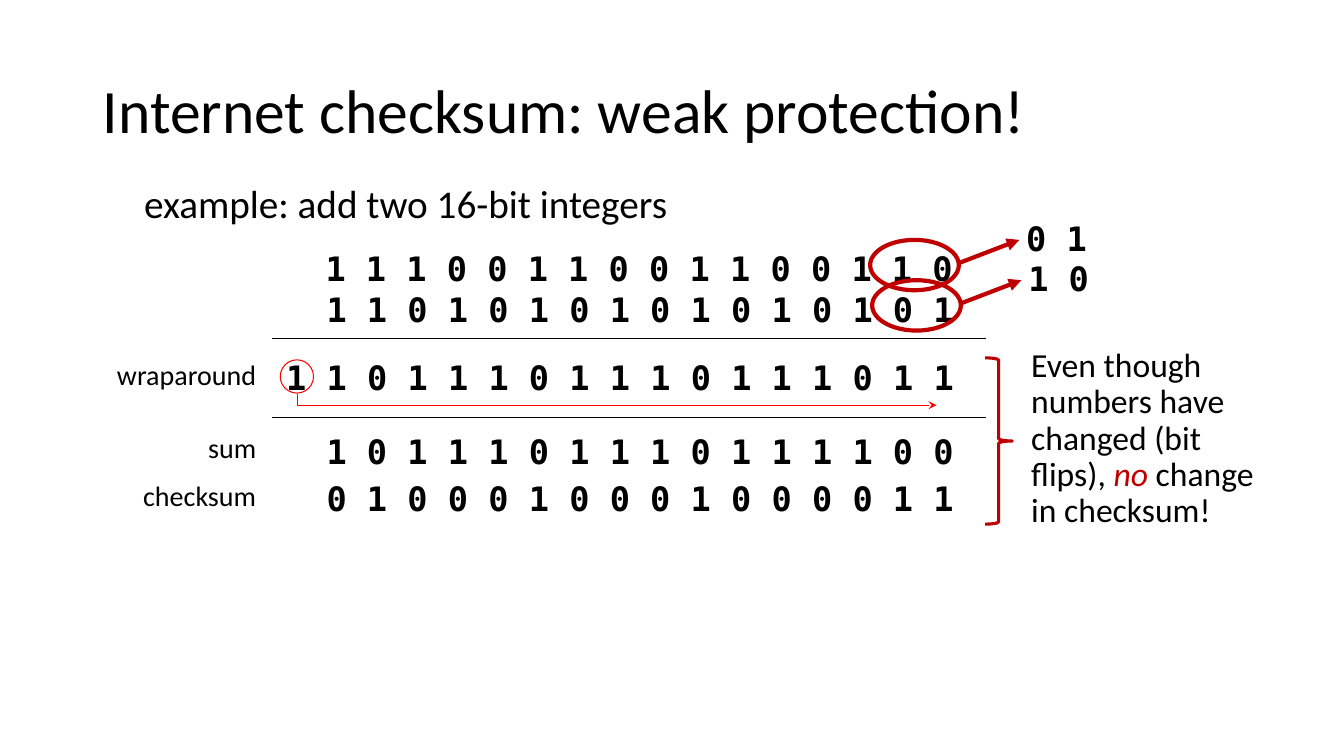
"""Build the slide on the weak protection given by the Internet checksum."""
from lxml import etree
from pptx import Presentation
from pptx import util as u
from pptx.dml.color import RGBColor
from pptx.enum import shapes, text
from pptx.oxml import ns

PX = 9144
COLORS = {"ink": "000000", "red": "C00000", "bright": "FF0000"}
SANS, MONO = "Calibri", "DejaVu Sans Mono"
FIT = text.MSO_AUTO_SIZE.SHAPE_TO_FIT_TEXT
LEFT, RIGHT = text.PP_ALIGN.LEFT, text.PP_ALIGN.RIGHT


class ChecksumPage:
    def __init__(self, deck):
        self.page = deck.slides.add_slide(deck.slide_layouts[1])

    def color(self, name):
        return RGBColor.from_string(COLORS[name])

    def place(self, box, left, top, width, height):
        box.left, box.top = left * PX, top * PX
        box.width, box.height = width * PX, height * PX

    def style(self, span, size, font=SANS, color="ink", bold=False, italic=False):
        span.font.name, span.font.size = font, u.Pt(size)
        span.font.bold, span.font.italic = bold, italic
        span.font.color.rgb = self.color(color)

    def heading(self, words, area, size):
        box = self.page.shapes.title
        self.place(box, *area)
        frame = box.text_frame
        frame.text = words
        frame.auto_size = text.MSO_AUTO_SIZE.NONE
        frame.vertical_anchor = text.MSO_ANCHOR.MIDDLE
        para = frame.paragraphs[0]
        para.alignment, para.line_spacing = LEFT, 0.9
        self.style(para.runs[0], size)

    def body(self, words, area, size):
        box = self.page.placeholders[1]
        self.place(box, *area)
        frame = box.text_frame
        frame.text = words
        frame.auto_size = text.MSO_AUTO_SIZE.NONE
        para = frame.paragraphs[0]
        para.line_spacing, para.space_before = 1.3, u.Pt(10)
        self.style(para.runs[0], size)
        props = para._p.get_or_add_pPr()
        props.set("marL", str(26 * PX))
        props.set("indent", str(-26 * PX))
        etree.SubElement(props, ns.qn("a:buNone"))

    def note(self, area, spans, size, font=SANS, bold=False, align=LEFT, wrap=False, spacing=1.0):
        box = self.page.shapes.add_textbox(*(value * PX for value in area))
        frame = box.text_frame
        frame.word_wrap, frame.auto_size = wrap, FIT
        para = frame.paragraphs[0]
        para.alignment, para.line_spacing = align, spacing
        for words, color, italic in spans:
            span = para.add_run()
            span.text = words
            self.style(span, size, font, color, bold, italic)

    def label(self, words, top):
        self.note((103, top, 161, 44), [(words, "ink", False)], 20, align=RIGHT)

    def bits(self, digits, left, top):
        width = 40 * len(digits) + 5
        words = " ".join(digits)
        self.note((left, top, width, 50), [(words, "ink", False)], 24, MONO, bold=True)

    def pen(self, line, color, weight, tail=None):
        line.color.rgb = self.color(color)
        line.width = u.Pt(weight)
        if tail:
            etree.SubElement(line._get_or_add_ln(), ns.qn("a:tailEnd"), type=tail)

    def outline(self, kind, area, color, weight):
        shape = self.page.shapes.add_shape(kind, *(value * PX for value in area))
        shape.shadow.inherit = False
        shape.fill.background()
        self.pen(shape.line, color, weight)

    def line(self, start, end, color, weight, tail=None):
        ends = (value * PX for value in (*start, *end))
        link = self.page.shapes.add_connector(shapes.MSO_CONNECTOR.STRAIGHT, *ends)
        self.pen(link.line, color, weight, tail)
        etree.SubElement(link._element.spPr, ns.qn("a:effectLst"))

    def bent_arrow(self, start, *points):
        builder = self.page.shapes.build_freeform(*start, scale=PX)
        builder.add_line_segments(points, close=False)
        shape = builder.convert_to_shape()
        shape.shadow.inherit = False
        shape.fill.background()
        self.pen(shape.line, "bright", 0.75, "stealth")


def main():
    deck = Presentation()
    deck.slide_width, deck.slide_height = u.Inches(13.33), u.Inches(7.5)
    page = ChecksumPage(deck)
    oval = shapes.MSO_SHAPE.OVAL

    page.heading("Internet checksum: weak protection!", (92, 40, 1150, 145), 44)
    page.body("example: add two 16-bit integers", (133, 159, 850, 300), 28)

    for words, top in (("wraparound", 350), ("sum", 422), ("checksum", 470)):
        page.label(words, top)
    for digits, left, top in (
        ("1110011001100110", 313, 241),
        ("1101010101010101", 314, 282),
        ("11011101110111011", 274, 349),
        ("1011101110111100", 314, 423),
        ("0100010001000011", 314, 469),
    ):
        page.bits(digits, left, top)

    for rule in (336, 414):
        page.line((978, rule), (270, rule), "ink", 1)
    page.outline(oval, (278, 357, 33, 33), "bright", 0.75)
    page.bent_arrow((295, 391), (295, 402), (929, 402))

    for flipped, x, y in (("01", 0, 0), ("10", 2, 40)):
        page.outline(oval, (863 + x, 238 + y, 88, 50), "red", 3)
        page.line((951 + x, 261 + y), (1011 + x, 238 + y), "red", 3, "triangle")
        page.bits(flipped, 1008 + x, 211 + y)

    page.outline(shapes.MSO_SHAPE.RIGHT_BRACE, (977, 355, 27, 165), "red", 2.25)
    remark = [
        ("Even though numbers have changed (bit flips), ", "ink", False),
        ("no", "red", True),
        (" change in checksum!", "ink", False),
    ]
    page.note((1013, 341, 263, 192), remark, 24, wrap=True, spacing=0.9)
    deck.save("out.pptx")


if __name__ == "__main__":
    main()
